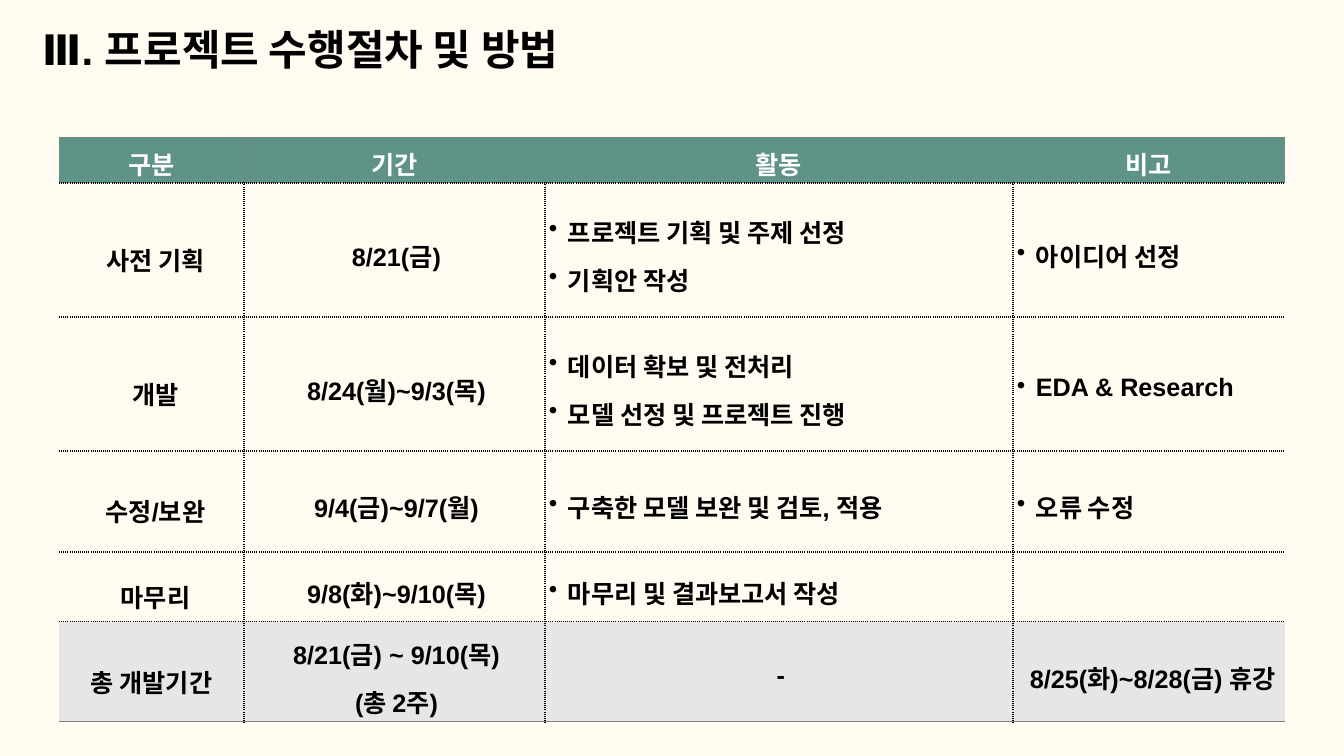
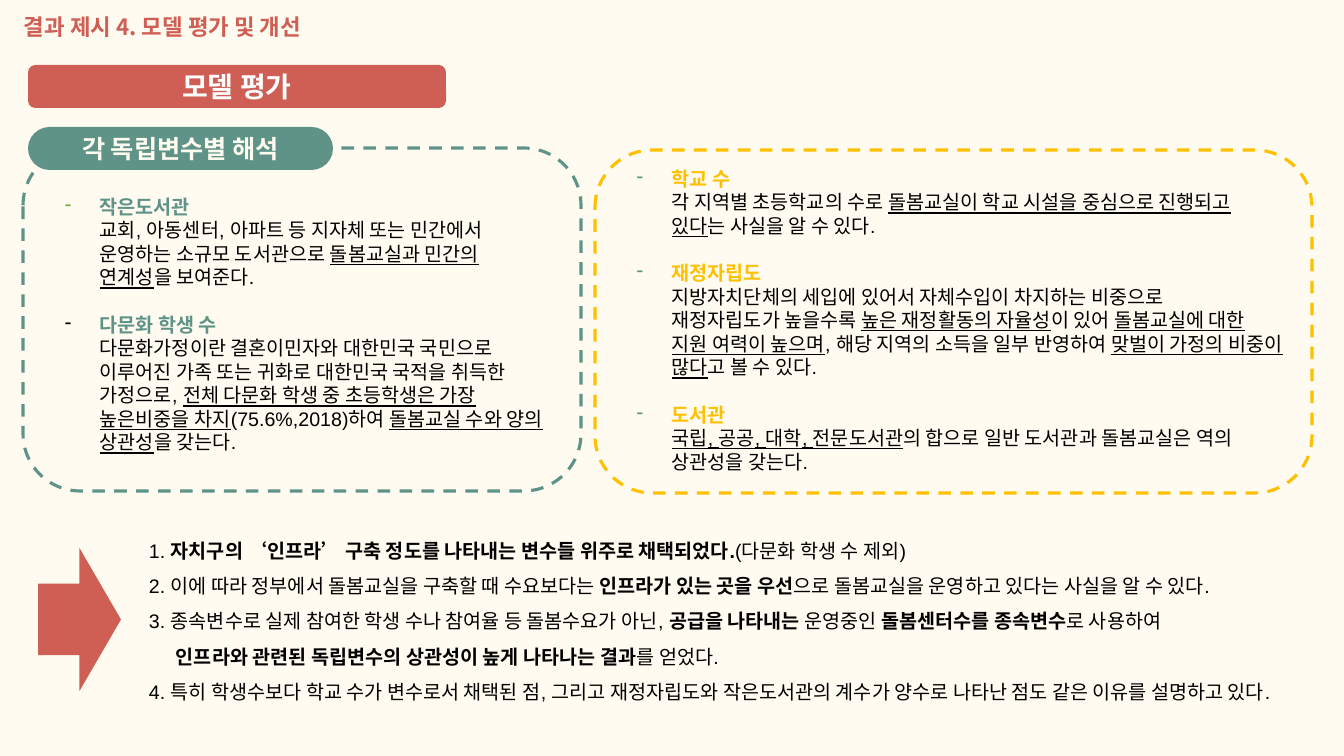
from lxml.etree import SubElement
from pptx import Presentation
from pptx.dml.color import RGBColor
from pptx.enum.dml import MSO_LINE
from pptx.enum.shapes import MSO_SHAPE
from pptx.enum.text import MSO_ANCHOR, PP_ALIGN
from pptx.oxml.ns import qn
from pptx.util import Pt

SCALE = 914400 / 100.8
HUES = {"cream": "FFFBF0", "teal": "5F9387", "red": "CF5F54", "gold": "FFC000",
        "black": "000000", "white": "FFFFFF", "gray": "7F7F7F",
        "pale": "E7E6E6", "green": "70AD47"}
BOLD = ("bold", True)
UNDER = ("underline", True)


def px(num):
    return round(num * SCALE)


def hue(name):
    return RGBColor.from_string(HUES[name])


class Deck:
    def __init__(self):
        self.prs = Presentation()
        self.prs.slide_width, self.prs.slide_height = px(1344), px(756)
        self.slide = None

    def page(self):
        self.slide = self.prs.slides.add_slide(self.prs.slide_layouts[6])
        fill = self.slide.background.fill
        fill.solid()
        fill.fore_color.rgb = hue("cream")

    def frame(self, frame, pad, anchor=MSO_ANCHOR.TOP):
        """Set wrapping and the left, top, right and bottom insets."""
        frame.word_wrap = True
        frame.vertical_anchor = anchor
        (frame.margin_left, frame.margin_top,
         frame.margin_right, frame.margin_bottom) = map(px, pad)
        return frame

    def para(self, frame, text, size, color, bold=False, align=PP_ALIGN.LEFT,
             space=1.0, before=0, left=0, hang=0, dot=None, mark=BOLD):
        """Add a paragraph; parts between asterisks take the mark."""
        para = frame.paragraphs[0]
        if para.runs:
            para = frame.add_paragraph()
        para.alignment, para.line_spacing = align, space
        para.space_before = Pt(before)
        props = para._p.get_or_add_pPr()
        props.set("marL", str(px(left)))
        props.set("indent", str(px(-hang)))
        if dot:
            char, tint = dot
            clr = SubElement(props, qn("a:buClr"))
            SubElement(clr, qn("a:srgbClr"), val=HUES[tint])
            SubElement(props, qn("a:buChar"), char=char)
        font = para.font
        font.name, font.size, font.bold = "Arial", Pt(size), bold
        font.color.rgb = hue(color)
        for num, part in enumerate(text.split("*")):
            if part:
                run = para.add_run()
                run.text = part
                if num % 2:
                    setattr(run.font, *mark)

    def text(self, box):
        shape = self.slide.shapes.add_textbox(*map(px, box))
        return self.frame(shape.text_frame, (10, 10, 10, 10))

    def shape(self, kind, box, fill=None, line=None, curve=None):
        shape = self.slide.shapes.add_shape(kind, *map(px, box))
        shape.shadow.inherit = False
        if fill:
            shape.fill.solid()
            shape.fill.fore_color.rgb = hue(fill)
        else:
            shape.fill.background()
        if line:
            shape.line.color.rgb = hue(line)
            shape.line.width = Pt(2.25)
            shape.line.dash_style = MSO_LINE.DASH
        else:
            shape.line.fill.background()
        if curve:
            shape.adjustments[0] = curve
        return shape

    def label(self, box, fill, text, size, color, curve):
        shape = self.shape(MSO_SHAPE.ROUNDED_RECTANGLE, box, fill, curve=curve)
        frame = self.frame(shape.text_frame, (10, 5, 10, 5), MSO_ANCHOR.MIDDLE)
        self.para(frame, text, size, color, True, PP_ALIGN.CENTER)

    def panel(self, box, color, top, items):
        """Draw a dashed panel of headings, each with body lines."""
        shape = self.shape(MSO_SHAPE.ROUNDED_RECTANGLE, box, line=color, curve=0.167)
        frame = self.frame(shape.text_frame, (10, top, 10, 0))
        for num, (head, tint, lines) in enumerate(items):
            self.para(frame, head, 14, color, True, before=17 if num else 0,
                      left=50, hang=35, dot=("-", tint))
            for line in lines:
                self.para(frame, line, 14, "black", left=50, mark=UNDER)

    def edge(self, cell, side, kind):
        """Draw one cell border: dot, gray or none."""
        wide = Pt(1 if kind == "dot" else 0.75)
        line = SubElement(cell._tc.get_or_add_tcPr(), qn("a:ln" + side), w=str(wide))
        if not kind:
            SubElement(line, qn("a:noFill"))
            return
        fill = SubElement(line, qn("a:solidFill"))
        SubElement(fill, qn("a:srgbClr"), val=HUES["black" if kind == "dot" else kind])
        SubElement(line, qn("a:prstDash"), val="sysDot" if kind == "dot" else "solid")

    def cell(self, cell, row, col, last, text):
        head, foot = row == 0, row == last[0]
        # Borders
        def wall(gap):
            if gap in (0, last[1] + 1):
                return None
            if head:
                return "gray" if gap == 1 else None
            return "dot"
        self.edge(cell, "L", wall(col))
        self.edge(cell, "R", wall(col + 1))
        self.edge(cell, "T", "gray" if head else "dot")
        self.edge(cell, "B", "gray" if foot else "dot")
        # Fill
        if head or foot:
            cell.fill.solid()
            cell.fill.fore_color.rgb = hue("teal" if head else "pale")
        else:
            cell.fill.background()
        # Text
        pad = 0 if head or (foot and not col) else 4 if col else 8
        cell.margin_left = px(pad)
        cell.margin_top = cell.margin_right = cell.margin_bottom = 0
        cell.vertical_anchor = MSO_ANCHOR.MIDDLE
        style = {"align": PP_ALIGN.CENTER}
        if foot and col == last[1]:
            style = {"left": 19, "hang": 6}
        elif col > 1 and not head and not foot:
            style = {"left": 19, "hang": 19, "dot": ("•", "black")}
        space = 1.2 if head else 1.3 if col else 1.5
        for line in text.split("\n") if text else []:
            self.para(cell.text_frame, line, 18, "white" if head else "black",
                      True, space=space, **style)

    def table(self, left, top, cols, rows, data):
        box = map(px, (left, top, sum(cols), sum(rows)))
        table = self.slide.shapes.add_table(len(rows), len(cols), *box).table
        for col, wide in zip(table.columns, cols):
            col.width = px(wide)
        for row, high in zip(table.rows, rows):
            row.height = px(high)
        last = len(rows) - 1, len(cols) - 1
        for row, line in enumerate(data):
            for col, text in enumerate(line):
                self.cell(table.cell(row, col), row, col, last, text)


PLAN = [
    ("구분", "기간", "활동", "비고"),
    ("사전 기획", "8/21(금)", "프로젝트 기획 및 주제 선정\n기획안 작성", "아이디어 선정"),
    ("개발", "8/24(월)~9/3(목)", "데이터 확보 및 전처리\n모델 선정 및 프로젝트 진행",
     "EDA & Research"),
    ("수정/보완", "9/4(금)~9/7(월)", "구축한 모델 보완 및 검토, 적용", "오류 수정"),
    ("마무리", "9/8(화)~9/10(목)", "마무리 및 결과보고서 작성", ""),
    ("총 개발기간", "8/21(금) ~ 9/10(목)\n(총 2주)", "-", "8/25(화)~8/28(금) 휴강"),
]
LEFT = [
    ("작은도서관", "green", [
        "교회, 아동센터, 아파트 등 지자체 또는 민간에서 운영하는 소규모 도서관으로 "
        "*돌봄교실과 민간의 연계성*을 보여준다."]),
    ("다문화 학생 수", "black", [
        "다문화가정이란 결혼이민자와 대한민국 국민으로 이루어진 가족 또는 귀화로 "
        "대한민국 국적을 취득한 가정으로, *전체 다문화 학생 중 초등학생은 가장 "
        "높은비중을 차지*(75.6%,2018)하여 *돌봄교실 수와 양의 상관성*을 갖는다."]),
]
RIGHT = [
    ("학교 수", "teal", [
        "각 지역별 초등학교의 수로 *돌봄교실이 학교 시설을 중심으로 진행되고 있다*는 "
        "사실을 알 수 있다."]),
    ("재정자립도", "teal", [
        "지방자치단체의 세입에 있어서 자체수입이 차지하는 비중으로",
        "재정자립도가 높을수록 *높은 재정활동의 자율성*이 있어 *돌봄교실에 대한 지원 "
        "여력이 높으며*, 해당 지역의 소득을 일부 반영하여 *맞벌이 가정의 비중이 많다*고 "
        "볼 수 있다."]),
    ("도서관", "teal", [
        "*국립, 공공, 대학, 전문도서관*의 합으로 일반 도서관과 돌봄교실은 역의 상관성을 "
        "갖는다."]),
]
NOTES = [
    "1. *자치구의 ‘인프라’ 구축 정도를 나타내는 변수들 위주로 채택되었다.*(다문화 학생 수 제외)",
    "2. 이에 따라 정부에서 돌봄교실을 구축할 때 수요보다는 *인프라가 있는 곳을 우선*으로 "
    "돌봄교실을 운영하고 있다는 사실을 알 수 있다.",
    "3. 종속변수로 실제 참여한 학생 수나 참여율 등 돌봄수요가 아닌, *공급을 나타내는* "
    "운영중인 *돌봄센터수를 종속변수*로 사용하여",
    "*인프라와 관련된 독립변수의 상관성이 높게 나타나는 결과*를 얻었다.",
    "4. 특히 학생수보다 학교 수가 변수로서 채택된 점, 그리고 재정자립도와 작은도서관의 "
    "계수가 양수로 나타난 점도 같은 이유를 설명하고 있다.",
]


def main():
    deck = Deck()

    # Slide 1: schedule
    deck.page()
    deck.table(59, 137, (185, 301, 468, 272), (46, 134, 134, 101, 70, 100), PLAN)
    deck.para(deck.text((32, 13, 586, 41)), "Ⅲ. 프로젝트 수행절차 및 방법",
              30, "black", True)

    # Slide 2: heading and arrow
    deck.page()
    deck.para(deck.text((14, 3, 332, 45)), "결과 *제시 4. 모델 평가 및 개선*",
              16, "red", True, mark=("name", "Noto Sans CJK KR"))
    deck.shape(MSO_SHAPE.RIGHT_ARROW, (38, 548, 83, 143), "red")

    # Variable panels and labels
    deck.panel((595, 150, 717, 343), "gold", 0, RIGHT)
    deck.panel((23, 148, 558, 343), "teal", 30, LEFT)
    deck.label((28, 127, 305, 43), "teal", "각 독립변수별 해석", 18, "cream", 0.5)
    deck.label((28, 65, 418, 43), "red", "모델 평가", 20, "white", 0.167)

    # Findings
    frame = deck.text((89, 517, 1245, 200))
    for note in NOTES:
        hang = 27 if note[0].isdigit() else 0
        deck.para(frame, note, 14, "black", space=1.5, left=77, hang=hang)

    deck.prs.save("out.pptx")


if __name__ == "__main__":
    main()
